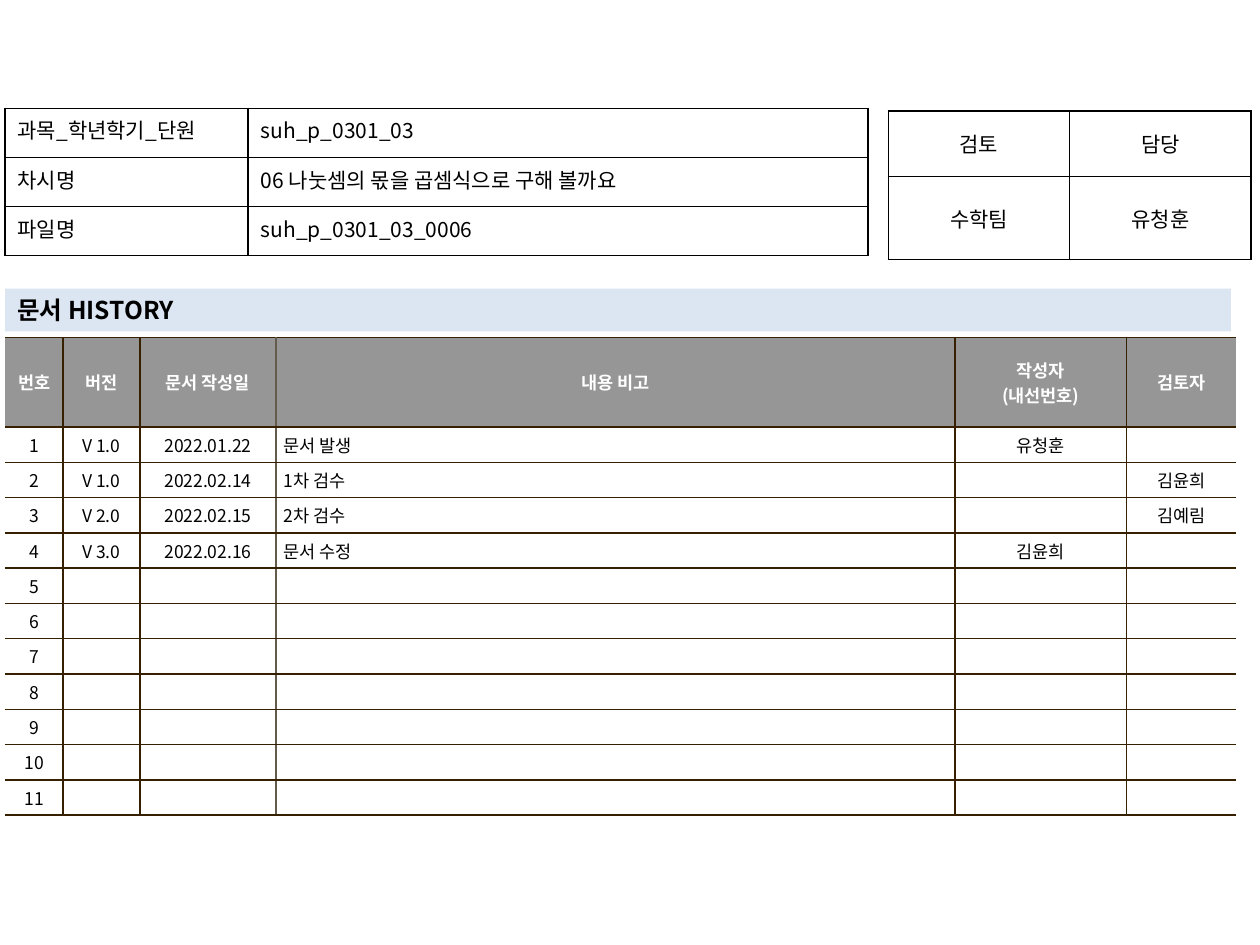
from lxml import etree
from pptx import Presentation
from pptx.dml.color import RGBColor
from pptx.enum.shapes import MSO_SHAPE
from pptx.enum.text import MSO_ANCHOR, PP_ALIGN
from pptx.oxml.ns import qn
from pptx.util import Inches, Pt

RECT = MSO_SHAPE.RECTANGLE
TOP, MIDDLE = MSO_ANCHOR.TOP, MSO_ANCHOR.MIDDLE
LEFT, CENTER, JUSTIFY = PP_ALIGN.LEFT, PP_ALIGN.CENTER, PP_ALIGN.JUSTIFY

FONT = "Noto Sans CJK KR"
COLORS = {
    "black": "000000",
    "white": "FFFFFF",
    "header": "969696",
    "band": "DCE6F2",
    "brown": "362000",
    "taupe": "645B4C",
}
INFO = [
    ["과목_학년학기_단원", "suh_p_0301_03"],
    ["차시명", "06 나눗셈의 몫을 곱셈식으로 구해 볼까요"],
    ["파일명", "suh_p_0301_03_0006"],
]
REVIEW = [["검토", "담당"], ["수학팀", "유청훈"]]
HISTORY_HEADER = ["번호", "버전", "문서 작성일", "내용 비고", "작성자\n(내선번호)", "검토자"]
HISTORY = [
    ["V 1.0", "2022.01.22", "문서 발생", "유청훈", ""],
    ["V 1.0", "2022.02.14", "1차 검수", "", "김윤희"],
    ["V 2.0", "2022.02.15", "2차 검수", "", "김예림"],
    ["V 3.0", "2022.02.16", "문서 수정", "김윤희", ""],
]
HISTORY_ROWS = 11
DATE_COL, NOTE_COL = 2, 3


def rgb(name):
    return RGBColor.from_string(COLORS[name])


def write(tf, text, size, color="black", bold=False, align=LEFT):
    tf.text = text
    for p in tf.paragraphs:
        p.alignment = align
        p.font.size = Pt(size)
        p.font.name = FONT
        p.font.bold = bold
        p.font.color.rgb = rgb(color)
        def_rpr = p._p.pPr.find(qn("a:defRPr"))
        etree.SubElement(def_rpr, qn("a:ea"), typeface=FONT)
        if not p.text:
            etree.SubElement(p._p, qn("a:endParaRPr"), sz=str(size * 100))


def set_borders(cell, left, right, top, bottom):
    """Draw 1 pt cell edges; None leaves an edge without a line."""
    tc_pr = cell._tc.get_or_add_tcPr()
    for side, color in zip("LRTB", (left, right, top, bottom)):
        ln = etree.SubElement(tc_pr, qn(f"a:ln{side}"), w=str(Pt(1)))
        if color:
            fill = etree.SubElement(ln, qn("a:solidFill"))
            etree.SubElement(fill, qn("a:srgbClr"), val=COLORS[color])
        else:
            etree.SubElement(ln, qn("a:noFill"))


def set_cell(cell, text, margins, anchor, fill=None, **font):
    cell.margin_left = cell.margin_right = Inches(margins[0])
    cell.margin_top = cell.margin_bottom = Inches(margins[1])
    cell.vertical_anchor = anchor
    if fill:
        cell.fill.solid()
        cell.fill.fore_color.rgb = rgb(fill)
    else:
        cell.fill.background()
    write(cell.text_frame, text, **font)


def add_grid(s, left, top, widths, heights):
    table = s.shapes.add_table(
        len(heights), len(widths), Inches(left), Inches(top),
        Inches(sum(widths)), Inches(sum(heights))).table
    table.first_row = table.horz_banding = False
    for col, width in zip(table.columns, widths):
        col.width = Inches(width)
    for row, height in zip(table.rows, heights):
        row.height = Inches(height)
    return table


def add_boxed_table(s, left, top, widths, heights, rows, aligns, anchor):
    table = add_grid(s, left, top, widths, heights)
    for r, texts in enumerate(rows):
        for c, text in enumerate(texts):
            cell = table.cell(r, c)
            set_borders(cell, *["black"] * 4)
            set_cell(cell, text, (0.1, 0.05), anchor, size=12, align=aligns[c])


def add_history_table(s):
    widths = [0.46, 0.61, 1.08, 5.39, 1.36, 0.87]
    table = add_grid(s, 0.04, 2.68, widths, [0.71] + [0.28] * HISTORY_ROWS)
    blanks = [[""] * 5] * (HISTORY_ROWS - len(HISTORY))
    numbered = [[str(n), *row] for n, row in enumerate(HISTORY + blanks, 1)]
    edges = [None] + ["brown"] * (len(widths) - 1) + [None]
    edges[NOTE_COL] = "taupe"
    for r, texts in enumerate([HISTORY_HEADER] + numbered):
        header = r == 0
        for c, text in enumerate(texts):
            cell = table.cell(r, c)
            set_borders(cell, edges[c], edges[c + 1], "brown", "brown")
            set_cell(cell, text, (0.06, 0.04), MIDDLE,
                     fill="header" if header else "white",
                     size=10, bold=header,
                     color="white" if header else "black",
                     align=LEFT if c == NOTE_COL and not header else CENTER)


def add_band(s, text):
    sp = s.shapes.add_shape(RECT, Inches(0.04), Inches(2.29),
                            Inches(9.73), Inches(0.34))
    sp.shadow.inherit = False
    sp.fill.solid()
    sp.fill.fore_color.rgb = rgb("band")
    sp.line.fill.background()
    tf = sp.text_frame
    tf.word_wrap = True
    tf.margin_top = tf.margin_bottom = 0
    tf.vertical_anchor = MIDDLE
    write(tf, text, size=14, bold=True)


def main():
    prs = Presentation()
    prs.slide_width, prs.slide_height = Inches(10), Inches(7.5)
    s = prs.slides.add_slide(prs.slide_layouts[6])
    add_history_table(s)
    add_boxed_table(s, 7.05, 0.88, [1.44] * 2, [0.52, 0.66], REVIEW,
                    [CENTER, CENTER], MIDDLE)
    add_band(s, "문서 HISTORY")
    add_boxed_table(s, 0.04, 0.86, [1.93, 4.92], [0.39] * 3, INFO,
                    [JUSTIFY, LEFT], TOP)
    prs.save("out.pptx")


if __name__ == "__main__":
    main()
